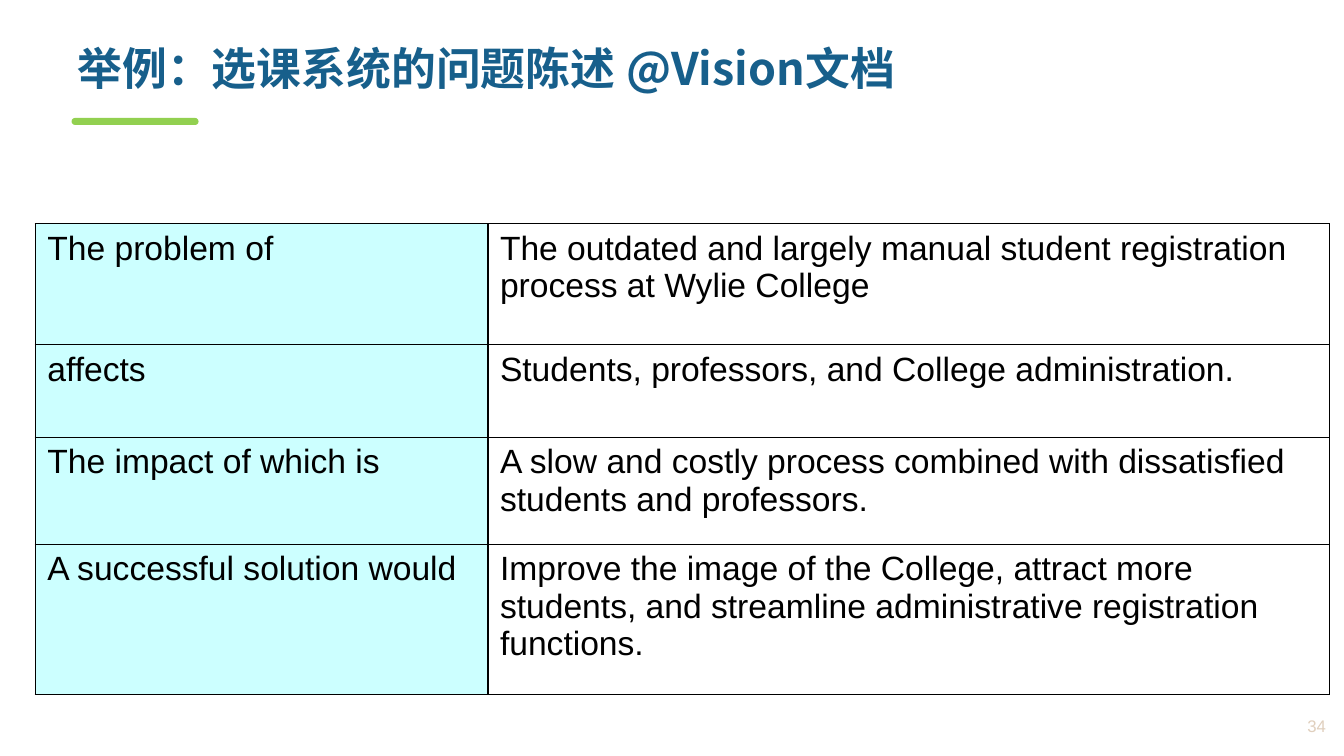
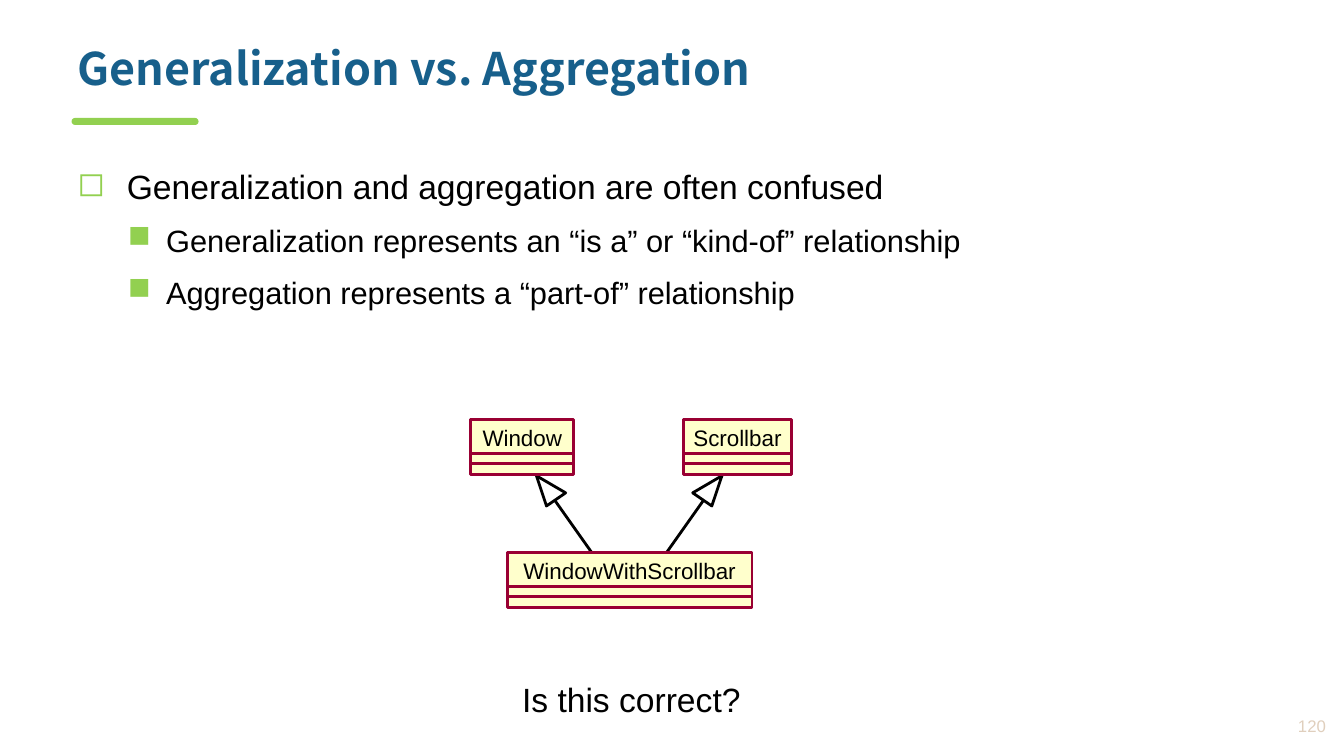
"""Build two slides: a problem statement table and a class diagram."""
import lxml.etree
import pptx
import pptx.dml.color
import pptx.enum.shapes
import pptx.enum.text
import pptx.oxml.ns
import pptx.util

Inches = pptx.util.Inches
Pt = pptx.util.Pt
RGBColor = pptx.dml.color.RGBColor
Shape = pptx.enum.shapes.MSO_SHAPE
Anchor = pptx.enum.text.MSO_ANCHOR
Align = pptx.enum.text.PP_ALIGN
qn = pptx.oxml.ns.qn

BLACK = RGBColor(0x00, 0x00, 0x00)
TITLE_BLUE = RGBColor(0x17, 0x5F, 0x8B)
ACCENT_GREEN = RGBColor(0x92, 0xD0, 0x50)
NUMBER_TAN = RGBColor(0xE0, 0xCF, 0xBD)
LABEL_CYAN = RGBColor(0xCC, 0xFF, 0xFF)
CLASS_YELLOW = RGBColor(0xFF, 0xFF, 0xCC)
CLASS_RED = RGBColor(0x99, 0x00, 0x33)

TITLE_FONT = {"name": "Noto Sans CJK SC", "size": Pt(32), "bold": True}
NUMBER_FONT = {"name": "Arial", "size": Pt(12)}
TEXT_FONT = {"name": "Arial", "size": Pt(24)}
SUBPOINT_FONT = {"name": "Arial", "size": Pt(22)}
CLASS_FONT = {"name": "Arial", "size": Pt(16)}

CELL_FORMAT = {
    "margin_left": Inches(0.12), "margin_right": Inches(0.12),
    "margin_top": Inches(0.06), "margin_bottom": Inches(0.06),
    "vertical_anchor": Anchor.TOP,
}
CLASS_FRAME = {
    "margin_left": 0, "margin_right": 0, "margin_top": Inches(0.05),
    "margin_bottom": 0, "vertical_anchor": Anchor.TOP, "word_wrap": False,
}
BULLETS = {
    0: ("◻", 0.49, -0.49, TEXT_FONT),
    1: ("■", 0.88, -0.38, SUBPOINT_FONT),
}

COLUMN_WIDTHS = (4.49, 8.35)
STATEMENT = (
    (1.20, "The problem of",
     "The outdated and largely manual student registration process at Wylie College"),
    (0.92, "affects", "Students, professors, and College administration."),
    (1.06, "The impact of which is",
     "A slow and costly process combined with dissatisfied students and professors."),
    (1.49, "A successful solution would",
     "Improve the image of the College, attract more students, "
     "and streamline administrative registration functions."),
)
POINTS = (
    (0, "Generalization and aggregation are often confused"),
    (1, "Generalization represents an “is a” or “kind-of” relationship"),
    (1, "Aggregation represents a “part-of” relationship"),
)
CLASSES = (
    ("Window", 4.67, 4.16, 1.02),
    ("Scrollbar", 6.78, 4.16, 1.07),
    ("WindowWithScrollbar", 5.03, 5.48, 2.43),
)
CLASS_HEIGHT = 0.55
DIVIDER_OFFSETS = (0.34, 0.44)
DIAGRAM_CENTER = 6.24


def apply_format(target, values):
    """Set each attribute of the target from a dict."""
    for attribute, value in values.items():
        setattr(target, attribute, value)


def write(paragraph, text, font, color=BLACK):
    """Add a formatted run to a paragraph."""
    run = paragraph.add_run()
    run.text = text
    apply_format(run.font, font)
    run.font.color.rgb = color
    east_asian = lxml.etree.SubElement(run.font._element, qn("a:ea"))
    east_asian.set("typeface", font["name"])


def add_text(slide, box, text, font, color=BLACK, wrap=True, anchor=Anchor.TOP):
    """Add a one-paragraph text box and return its paragraph."""
    frame = slide.shapes.add_textbox(*map(Inches, box)).text_frame
    apply_format(frame, {"word_wrap": wrap, "vertical_anchor": anchor})
    paragraph = frame.paragraphs[0]
    write(paragraph, text, font, color)
    return paragraph


def add_line(slide, start, end, color):
    """Draw a straight line between two points."""
    line = slide.shapes.add_connector(
        pptx.enum.shapes.MSO_CONNECTOR.STRAIGHT, *map(Inches, (*start, *end)))
    line.line.color.rgb = color
    line.line.width = Pt(2)
    lxml.etree.SubElement(line._element.spPr, qn("a:effectLst"))


def add_base_slide(deck, title, number):
    """Add a slide with its title, accent bar and number."""
    slide = deck.slides.add_slide(deck.slide_layouts[6])
    accent = slide.shapes.add_shape(
        Shape.ROUND_2_SAME_RECTANGLE, *map(Inches, (0.71, 1.17, 1.26, 0.07)))
    accent.adjustments[0] = accent.adjustments[1] = 0.5
    accent.shadow.inherit = False
    accent.fill.solid()
    accent.fill.fore_color.rgb = ACCENT_GREEN
    accent.line.fill.background()
    heading = add_text(slide, (0.67, 0.41, 12.19, 0.75), title, TITLE_FONT, TITLE_BLUE)
    heading.line_spacing = 0.9
    page = add_text(slide, (12.12, 7.01, 1.13, 0.38), str(number), NUMBER_FONT,
                    NUMBER_TAN, anchor=Anchor.MIDDLE)
    page.alignment = Align.RIGHT
    return slide


def add_borders(cell):
    """Give a table cell thin black borders on all sides."""
    properties = cell._tc.get_or_add_tcPr()
    for position, side in enumerate(("lnL", "lnR", "lnT", "lnB")):
        border = lxml.etree.Element(qn(f"a:{side}"), w=str(Pt(1)))
        fill = lxml.etree.SubElement(border, qn("a:solidFill"))
        lxml.etree.SubElement(fill, qn("a:srgbClr"), val=str(BLACK))
        properties.insert(position, border)


def add_statement_table(slide):
    """Add the problem statement table."""
    height = sum(row[0] for row in STATEMENT)
    table = slide.shapes.add_table(
        len(STATEMENT), len(COLUMN_WIDTHS), Inches(0.35), Inches(2.22),
        Inches(sum(COLUMN_WIDTHS)), Inches(height)).table
    apply_format(table, {"first_row": False, "horz_banding": False})
    for column, width in zip(table.columns, COLUMN_WIDTHS):
        column.width = Inches(width)
    for row, (row_height, *texts) in zip(table.rows, STATEMENT):
        row.height = Inches(row_height)
        for index, (cell, text) in enumerate(zip(row.cells, texts)):
            apply_format(cell, CELL_FORMAT)
            if index == 0:
                cell.fill.solid()
                cell.fill.fore_color.rgb = LABEL_CYAN
            else:
                cell.fill.background()
            add_borders(cell)
            write(cell.text_frame.paragraphs[0], text, TEXT_FONT)


def add_points(slide):
    """Add the bulleted points."""
    frame = slide.shapes.add_textbox(*map(Inches, (0.67, 1.48, 12.2, 5.78))).text_frame
    frame.word_wrap = True
    for index, (level, text) in enumerate(POINTS):
        paragraph = frame.add_paragraph() if index else frame.paragraphs[0]
        mark, margin, indent, font = BULLETS[level]
        properties = paragraph._p.get_or_add_pPr()
        properties.set("marL", str(Inches(margin)))
        properties.set("indent", str(Inches(indent)))
        bullet_color = lxml.etree.SubElement(properties, qn("a:buClr"))
        lxml.etree.SubElement(bullet_color, qn("a:srgbClr"), val=str(ACCENT_GREEN))
        lxml.etree.SubElement(properties, qn("a:buChar"), char=mark)
        apply_format(paragraph, {"level": level, "line_spacing": 1.3, "space_after": Pt(3)})
        write(paragraph, text, font)


def add_class(slide, name, left, top, width):
    """Add a class box with its name and two dividers."""
    box = slide.shapes.add_shape(
        Shape.RECTANGLE, *map(Inches, (left, top, width, CLASS_HEIGHT)))
    box.shadow.inherit = False
    box.fill.solid()
    box.fill.fore_color.rgb = CLASS_YELLOW
    box.line.color.rgb = CLASS_RED
    box.line.width = Pt(2)
    apply_format(box.text_frame, CLASS_FRAME)
    label = box.text_frame.paragraphs[0]
    label.alignment = Align.CENTER
    write(label, name, CLASS_FONT)
    for offset in DIVIDER_OFFSETS:
        add_line(slide, (left, top + offset), (left + width, top + offset), CLASS_RED)


def add_generalization(slide, side):
    """Add a hollow-headed arrow on one side (-1 left, 1 right) of the center."""
    def point(offset, y):
        return DIAGRAM_CENTER + side * offset, y

    add_line(slide, point(0.74, 4.96), point(0.16, 5.78), BLACK)
    tip, *base = [tuple(map(Inches, point(*corner)))
                  for corner in ((0.92, 4.72), (0.82, 5.02), (0.63, 4.89))]
    outline = slide.shapes.build_freeform(*tip)
    outline.add_line_segments(base, close=True)
    head = outline.convert_to_shape()
    head.shadow.inherit = False
    head.fill.background()
    head.line.color.rgb = BLACK
    head.line.width = Pt(2)


def main():
    """Build and save the presentation."""
    deck = pptx.Presentation()
    apply_format(deck, {"slide_width": Inches(13.33), "slide_height": Inches(7.5)})

    statement = add_base_slide(deck, "举例：选课系统的问题陈述 @Vision文档", 34)
    add_statement_table(statement)

    comparison = add_base_slide(deck, "Generalization vs. Aggregation", 120)
    add_points(comparison)
    for side in (-1, 1):
        add_generalization(comparison, side)
    for class_box in CLASSES:
        add_class(comparison, *class_box)
    add_text(comparison, (5.08, 6.69, 2.37, 0.5), "Is this correct?", TEXT_FONT, wrap=False)

    deck.save("out.pptx")


if __name__ == "__main__":
    main()
